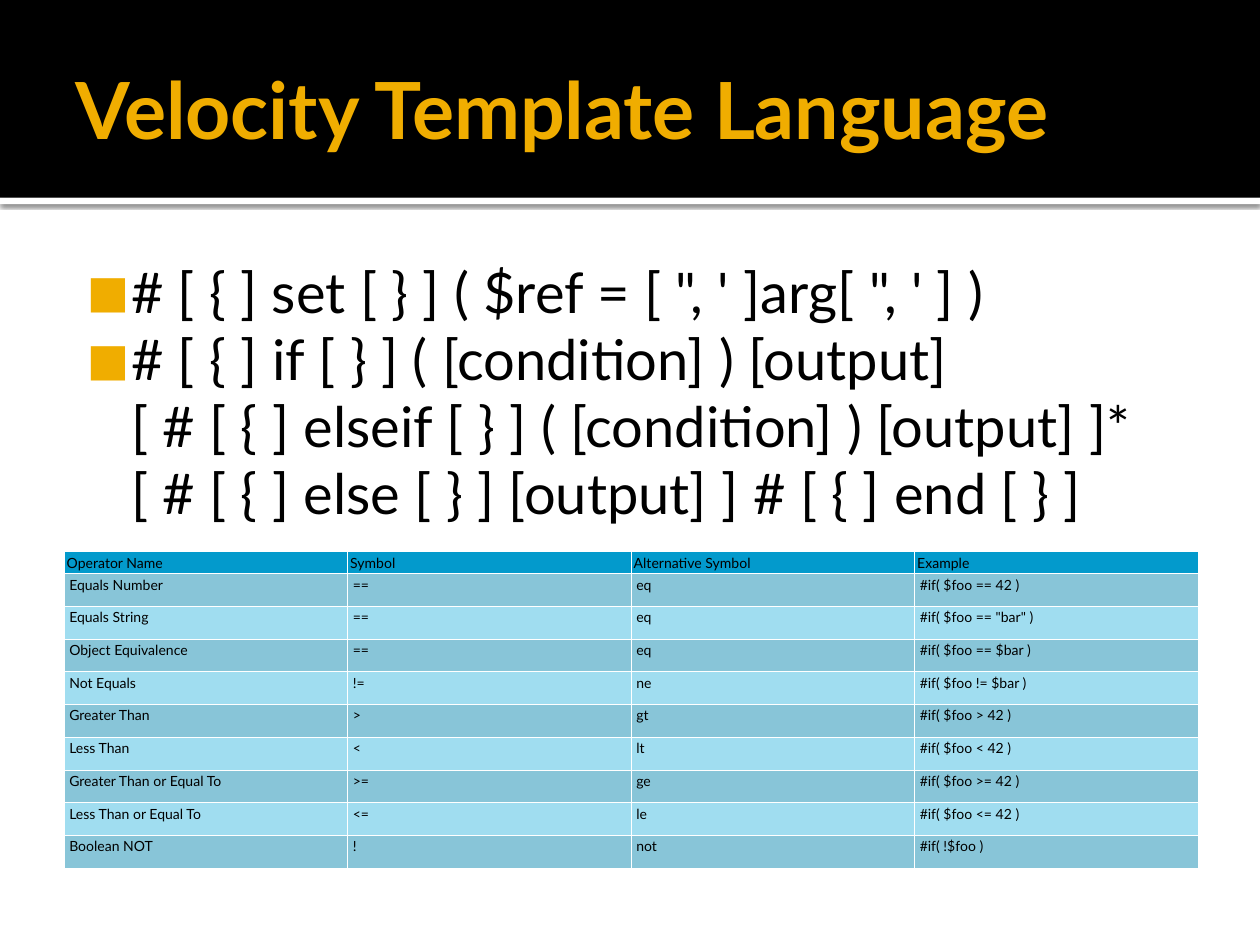
from lxml import etree
from pptx import Presentation, util as u
from pptx.dml.color import RGBColor
from pptx.enum import shapes, text
from pptx.oxml import ns

FONT = "Lato"
COLORS = {"black": "000000", "white": "FFFFFF", "accent": "F0AD00",
          "header": "039ACC", "odd": "88C5D8", "even": "A0DDF0"}
NB = "\u00a0"
SET_RULE = "# [ { ] set [ } ] ( $ref = [ \", ' ]arg[ \", ' ] )"
# "~" marks a space at which the rule must not wrap
IF_RULE = ("#~[~{~]~if~[~}~]~(~[condition]~)~[output] "
           "[~#~[~{~]~elseif~[~}~]~(~[condition]~)~[output] ]* "
           "[~#~[~{~]~else~[~}~] [output] ]~#~[~{~]~end~[~}~]").replace("~", NB)
HEADER = ("Operator Name", "Symbol", "Alternative Symbol", "Example")
OPERATORS = [
    ("Equals Number", "==", "eq", "#if( $foo == 42 )"),
    ("Equals String", "==", "eq", '#if( $foo == "bar" )'),
    ("Object Equivalence", "==", "eq", "#if( $foo == $bar )"),
    ("Not Equals", "!=", "ne", "#if( $foo != $bar )"),
    ("Greater Than", ">", "gt", "#if( $foo > 42 )"),
    ("Less Than", "<", "lt", "#if( $foo < 42 )"),
    ("Greater Than or Equal To", ">=", "ge", "#if( $foo >= 42 )"),
    ("Less Than or Equal To", "<=", "le", "#if( $foo <= 42 )"),
    ("Boolean NOT", "!", "not", "#if( !$foo )"),
]


def set_all(obj, **values):
    for name, value in values.items():
        setattr(obj, name, value)


def rgb(name):
    return RGBColor.from_string(COLORS[name])


def sub(parent, tag, **attrs):
    return etree.SubElement(parent, ns.qn(tag), attrs)


def place(sp, x, y, w, h):
    set_all(sp, left=u.Inches(x), top=u.Inches(y),
            width=u.Inches(w), height=u.Inches(h))


def margins(obj, left, top, right, bottom):
    set_all(obj, margin_left=u.Inches(left), margin_top=u.Inches(top),
            margin_right=u.Inches(right), margin_bottom=u.Inches(bottom))


def write(p, words, size, color="black", bold=False):
    p.alignment = text.PP_ALIGN.LEFT
    set_all(p, space_before=u.Pt(0), space_after=u.Pt(0), line_spacing=1.0)
    r = p.add_run()
    r.text = words
    set_all(r.font, name=FONT, size=u.Pt(size), bold=bold)
    r.font.color.rgb = rgb(color)


def add_band(s, y, h, color, shadow=False):
    sp = s.shapes.add_shape(shapes.MSO_SHAPE.RECTANGLE, 0, u.Inches(y),
                            u.Inches(10), u.Inches(h))
    sp.fill.solid()
    sp.fill.fore_color.rgb = rgb(color)
    sp.line.fill.background()
    sp.shadow.inherit = False
    if shadow:
        effects = sp._element.spPr.find(ns.qn("a:effectLst"))
        outer = sub(effects, "a:outerShdw", blurRad=str(u.Pt(2.5)),
                    dist=str(u.Pt(0.8)), dir="5400000", algn="t", rotWithShape="0")
        clr = sub(outer, "a:srgbClr", val=COLORS["black"])
        sub(clr, "a:alpha", val="60000")
    return sp


def add_bands(s):
    bands = [add_band(s, 1.57, 0.05, "white", shadow=True),
             add_band(s, 0, 1.57, "black")]
    # Bands lie behind the placeholders
    for i, sp in enumerate(bands):
        s.shapes._spTree.insert(2 + i, sp._element)


def fill_title(sp, words):
    place(sp, 0.5, 0.17, 9, 1.37)
    tf = sp.text_frame
    margins(tf, 0.1, 0.05, 0.05, 0.05)
    set_all(tf, word_wrap=True, auto_size=text.MSO_AUTO_SIZE.NONE,
            vertical_anchor=text.MSO_ANCHOR.MIDDLE)
    write(tf.paragraphs[0], words, 45, "accent", bold=True)


def add_bullet(p):
    pPr = p._p.get_or_add_pPr()
    pPr.set("marL", str(u.Inches(0.48)))
    pPr.set("indent", str(u.Inches(-0.35)))
    sub(sub(pPr, "a:buClr"), "a:srgbClr", val=COLORS["accent"])
    sub(pPr, "a:buSzPct", val="80000")
    sub(pPr, "a:buFont", typeface=FONT)
    sub(pPr, "a:buChar", char="\u25a0")


def fill_body(sp, items):
    place(sp, 0.5, 1.94, 9, 5.06)
    tf = sp.text_frame
    margins(tf, 0.06, 0.1, 0.1, 0.05)
    set_all(tf, word_wrap=True, auto_size=text.MSO_AUTO_SIZE.NONE,
            vertical_anchor=text.MSO_ANCHOR.TOP)
    for i, item in enumerate(items):
        p = tf.add_paragraph() if i else tf.paragraphs[0]
        write(p, item, 32)
        add_bullet(p)


def format_cell(cell, words, fill, side):
    margins(cell, side, 0.02, side, 0.02)
    write(cell.text_frame.paragraphs[0], words, 8)
    tcPr = cell._tc.get_or_add_tcPr()
    for edge in ("a:lnL", "a:lnR", "a:lnT", "a:lnB"):
        ln = sub(tcPr, edge, w=str(u.Pt(0.75)))
        sub(sub(ln, "a:solidFill"), "a:srgbClr", val=COLORS["white"])
    cell.fill.solid()
    cell.fill.fore_color.rgb = rgb(fill)


def add_operator_table(s):
    rows = [HEADER] + OPERATORS
    frame = s.shapes.add_table(len(rows), len(HEADER), u.Inches(0.51),
                               u.Inches(4.38), u.Inches(9), u.Inches(2.51))
    table = frame.table
    set_all(table, first_row=True, horz_banding=False)
    for i, row in enumerate(rows):
        table.rows[i].height = u.Inches(0.26 if i else 0.17)
        fill = ("even", "odd")[i % 2] if i else "header"
        for j, words in enumerate(row):
            format_cell(table.cell(i, j), words, fill, 0.04 if i else 0.02)


def main():
    prs = Presentation()
    set_all(prs, slide_width=u.Inches(10), slide_height=u.Inches(7.5))
    s = prs.slides.add_slide(prs.slide_layouts[1])
    add_bands(s)
    fill_title(s.shapes.title, "Velocity Template Language")
    fill_body(s.placeholders[1], [SET_RULE, IF_RULE])
    add_operator_table(s)
    prs.save("out.pptx")


main()
